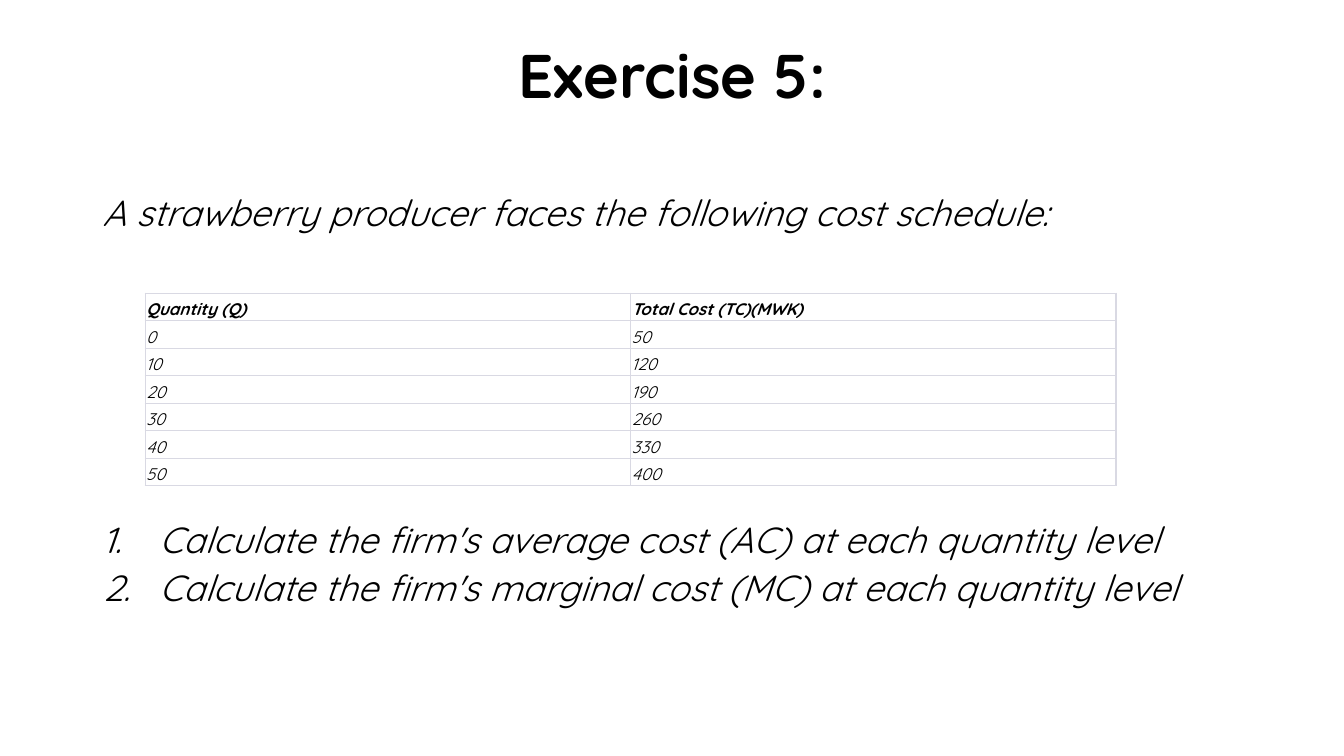
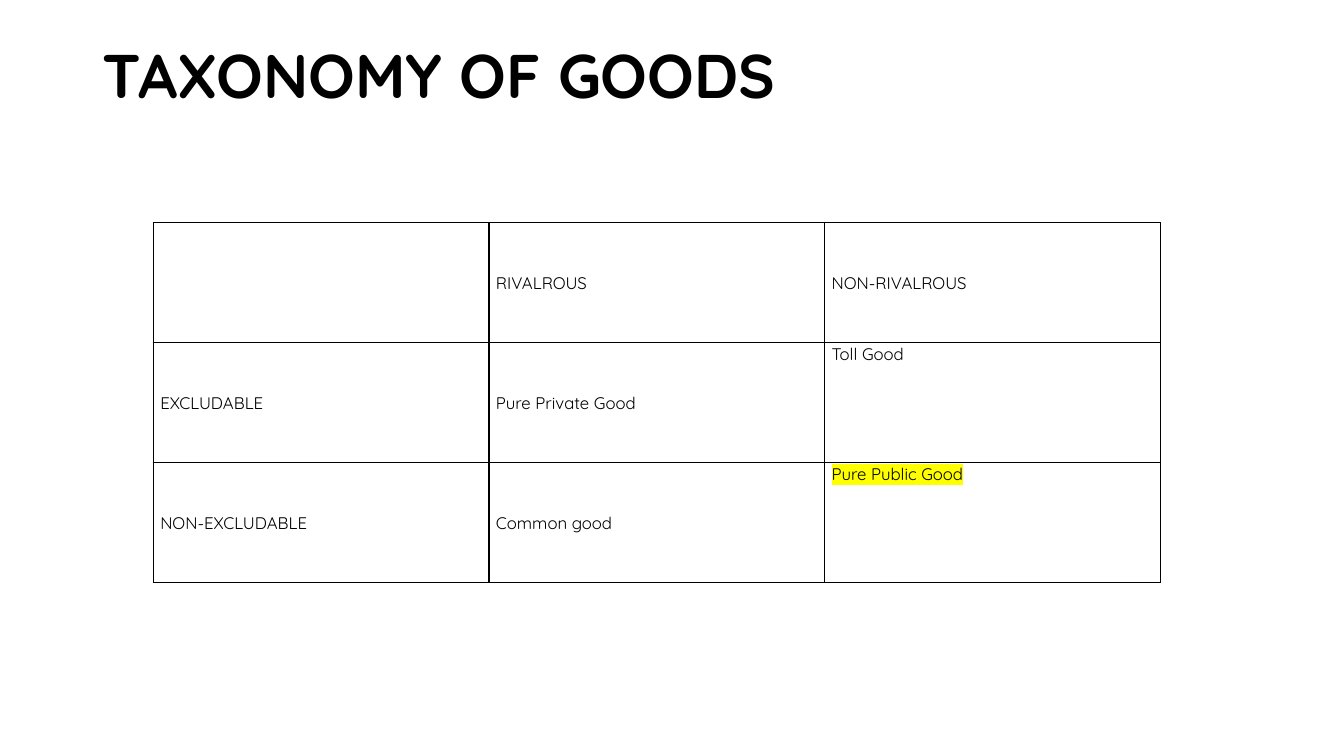
"""Build two economics slides: a cost exercise and a taxonomy of goods."""
from dataclasses import dataclass

import lxml.etree
import pptx
import pptx.dml.color
import pptx.enum.text
import pptx.oxml.ns
import pptx.util

ALIGN = pptx.enum.text.PP_ALIGN
ANCHOR = pptx.enum.text.MSO_ANCHOR
qn = pptx.oxml.ns.qn


@dataclass(frozen=True)
class Theme:
    font: str = "Quicksand"
    ink: str = "000000"
    paper: str = "FFFFFF"
    pale_rule: str = "D9D9E3"
    marker: str = "FFFF00"
    title: float = 44
    body: float = 25.9
    cell: float = 12
    rule: float = 1


@dataclass(frozen=True)
class Box:
    """Hold a place in percent of the slide's width and height."""
    left: float
    top: float
    width: float
    height: float

    def emu(self, prs) -> list[int]:
        w, h = prs.slide_width, prs.slide_height
        return [round(share * side / 100) for share, side in
                ((self.left, w), (self.top, h), (self.width, w), (self.height, h))]


@dataclass(frozen=True)
class Span:
    text: str
    size: float
    bold: bool = False
    italic: bool = False
    highlight: str | None = None


@dataclass(frozen=True)
class Cell:
    text: str = ""
    anchor: ANCHOR = ANCHOR.MIDDLE
    bold: bool = False
    italic: bool = False
    highlight: str | None = None


@dataclass(frozen=True)
class Grid:
    box: Box
    rows: list[list[Cell]]
    border: str
    inset_x: float
    inset_y: float
    fill: str | None = None


THEME = Theme()
TITLE = Box(6.9, 5.33, 86.27, 10.13)
INTRO = Box(6.9, 26.13, 86.27, 9.33)
QUESTIONS = Box(6.9, 68.53, 86.27, 14.67)

COSTS = [("Quantity (Q)", "Total Cost (TC)(MWK)"), ("0", "50"), ("10", "120"),
         ("20", "190"), ("30", "260"), ("40", "330"), ("50", "400")]
COST_GRID = Grid(
    Box(10.8, 38.8, 72.24, 25.47),
    [[Cell(text, ANCHOR.BOTTOM, bold=i == 0, italic=True) for text in row]
     for i, row in enumerate(COSTS)],
    THEME.pale_rule, 0.01, 0.01, THEME.paper)
GOODS_GRID = Grid(
    Box(11.4, 29.47, 74.94, 47.6),
    [[Cell(), Cell("RIVALROUS"), Cell("NON-RIVALROUS")],
     [Cell("EXCLUDABLE"), Cell("Pure Private Good"), Cell("Toll Good", ANCHOR.TOP)],
     [Cell("NON-EXCLUDABLE"), Cell("Common good"),
      Cell("Pure Public Good", ANCHOR.TOP, highlight=THEME.marker)]],
    THEME.ink, 0.07, 0)


def add_colour(parent, colour: str) -> None:
    lxml.etree.SubElement(parent, qn("a:srgbClr"), val=colour)


def add_run(p, span: Span) -> None:
    r = p.add_run()
    r.text = span.text
    font = r.font
    font.name, font.size = THEME.font, pptx.util.Pt(span.size)
    font.bold, font.italic = span.bold, span.italic
    font.color.rgb = pptx.dml.color.RGBColor.from_string(THEME.ink)
    if span.highlight:
        mark = lxml.etree.Element(qn("a:highlight"))
        add_colour(mark, span.highlight)
        r._r.rPr.find(qn("a:solidFill")).addnext(mark)


def add_number(p, indent: float) -> None:
    pPr = p._p.get_or_add_pPr()
    step = pptx.util.Inches(indent)
    pPr.set("marL", str(step))
    pPr.set("indent", str(-step))
    lxml.etree.SubElement(pPr, qn("a:buFont"), typeface=THEME.font)
    lxml.etree.SubElement(pPr, qn("a:buAutoNum"), type="arabicPeriod")


def add_text(prs, s, box: Box, spans: list[Span], spacing: float,
             align: ALIGN = ALIGN.LEFT, anchor: ANCHOR = ANCHOR.TOP,
             after: float = 0, numbered: bool = False) -> None:
    tf = s.shapes.add_textbox(*box.emu(prs)).text_frame
    tf.word_wrap, tf.vertical_anchor = True, anchor
    for i, span in enumerate(spans):
        p = tf.add_paragraph() if i else tf.paragraphs[0]
        if numbered:
            add_number(p, 0.56)
        p.alignment, p.line_spacing = align, spacing
        p.space_after = pptx.util.Pt(after)
        add_run(p, span)


def add_title(prs, s, text: str, align: ALIGN) -> None:
    add_text(prs, s, TITLE, [Span(text, THEME.title, bold=True)], 0.9, align, ANCHOR.MIDDLE)


def add_borders(cell, colour: str) -> None:
    tcPr = cell._tc.get_or_add_tcPr()
    for i, side in enumerate("LRTB"):
        ln = lxml.etree.Element(qn(f"a:ln{side}"), w=str(pptx.util.Pt(THEME.rule)))
        add_colour(lxml.etree.SubElement(ln, qn("a:solidFill")), colour)
        tcPr.insert(i, ln)


def fill_cell(cell, content: Cell, grid: Grid) -> None:
    cell.margin_left = cell.margin_right = pptx.util.Inches(grid.inset_x)
    cell.margin_top = cell.margin_bottom = pptx.util.Inches(grid.inset_y)
    cell.vertical_anchor = content.anchor
    if grid.fill:
        cell.fill.solid()
        cell.fill.fore_color.rgb = pptx.dml.color.RGBColor.from_string(grid.fill)
    else:
        cell.fill.background()
    add_borders(cell, grid.border)
    if content.text:
        p = cell.text_frame.paragraphs[0]
        p.alignment, p.line_spacing = ALIGN.JUSTIFY, 1.07
        add_run(p, Span(content.text, THEME.cell, content.bold, content.italic,
                        content.highlight))


def add_grid(prs, s, grid: Grid) -> None:
    table = s.shapes.add_table(len(grid.rows), len(grid.rows[0]), *grid.box.emu(prs)).table
    table.first_row = table.horz_banding = False
    for i, row in enumerate(grid.rows):
        for j, content in enumerate(row):
            fill_cell(table.cell(i, j), content, grid)


def add_exercise(prs, s) -> None:
    add_title(prs, s, "Exercise 5:", ALIGN.CENTER)
    intro = Span("A strawberry producer faces the following cost schedule:",
                 THEME.body, italic=True)
    add_text(prs, s, INTRO, [intro], 0.7)
    questions = [Span(f"Calculate the firm's {cost} at each quantity level",
                      THEME.body, italic=True)
                 for cost in ("average cost (AC)", "marginal cost (MC)")]
    add_text(prs, s, QUESTIONS, questions, 0.87, ALIGN.JUSTIFY, after=7, numbered=True)
    add_grid(prs, s, COST_GRID)


def add_taxonomy(prs, s) -> None:
    add_title(prs, s, "TAXONOMY OF GOODS", ALIGN.LEFT)
    add_grid(prs, s, GOODS_GRID)


def main() -> None:
    prs = pptx.Presentation()
    prs.slide_width, prs.slide_height = pptx.util.Inches(13.33), pptx.util.Inches(7.5)
    for build in (add_exercise, add_taxonomy):
        build(prs, prs.slides.add_slide(prs.slide_layouts[6]))
    prs.save("out.pptx")


if __name__ == "__main__":
    main()
